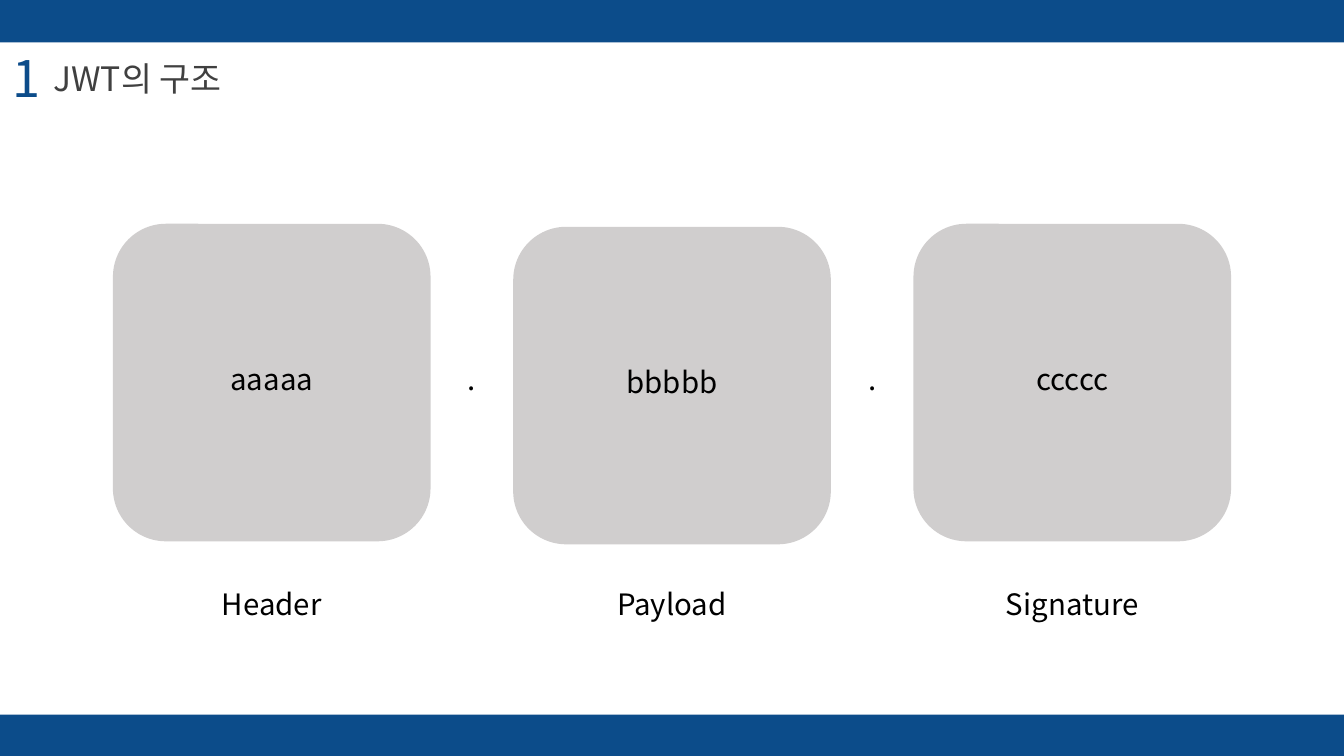
from pptx import Presentation
from pptx.dml.color import RGBColor
from pptx.enum import shapes, text
from pptx.oxml import ns
from pptx.util import Inches, Pt
from lxml import etree

COLORS = {"blue": "0C4C8A", "title": "404040", "card": "D0CECE", "black": "000000"}
FONT = "Noto Sans CJK KR"
CARD_SIZE = 3.15
CARD_LEFT, CARD_STEP = 1.12, 3.97
LABEL_HEIGHT = 0.45


def add_block(s, preset, left, top, width, height, color):
    """Filled shape without outline or shadow."""
    sp = s.shapes.add_shape(preset, Inches(left), Inches(top), Inches(width), Inches(height))
    sp.shadow.inherit = False
    sp.fill.solid()
    sp.fill.fore_color.rgb = RGBColor.from_string(COLORS[color])
    sp.line.fill.background()


def write(sp, words, size, color, align, wrap=False):
    """One paragraph, with the same font for Latin and Korean."""
    tf = sp.text_frame
    tf.word_wrap = wrap
    tf.auto_size = text.MSO_AUTO_SIZE.NONE
    tf.vertical_anchor = text.MSO_ANCHOR.TOP
    p = tf.paragraphs[0]
    p.text = words
    p.alignment = align
    p.font.size = Pt(size)
    p.font.name = FONT
    p.font.color.rgb = RGBColor.from_string(COLORS[color])
    props = p._p.pPr.find(ns.qn("a:defRPr"))
    etree.SubElement(props, ns.qn("a:ea")).set("typeface", FONT)


def add_label(s, words, center, top, width):
    """Centred text around a given x."""
    sp = s.shapes.add_textbox(Inches(center - width / 2), Inches(top),
                              Inches(width), Inches(LABEL_HEIGHT))
    write(sp, words, 21, "black", text.PP_ALIGN.CENTER)


def add_heading(s, number, words):
    sp = s.shapes.add_textbox(Inches(0.03), Inches(0.42), Inches(0.49), Inches(0.71))
    write(sp, number, 36, "blue", text.PP_ALIGN.LEFT)
    title = s.shapes.title
    title.left, title.top = Inches(0.43), Inches(0.52)
    title.width, title.height = Inches(1.9), Inches(0.5)
    write(title, words, 24, "title", text.PP_ALIGN.LEFT, wrap=True)


def main():
    prs = Presentation()
    prs.slide_width, prs.slide_height = Inches(13.33), Inches(7.5)
    s = prs.slides.add_slide(prs.slide_layouts[5])

    # Bands and heading
    rect = shapes.MSO_SHAPE.RECTANGLE
    add_block(s, rect, 0, 7.09, 13.33, 0.41, "blue")
    add_block(s, rect, 0, 0, 13.33, 0.42, "blue")
    add_heading(s, "1", "JWT의 구조")

    # Token parts: value, name, card top, label widths
    parts = [("aaaaa", "Header", 2.22, 1.04, 1.31),
             ("bbbbb", "Payload", 2.25, 1.1, 1.33),
             ("ccccc", "Signature", 2.22, 0.98, 1.6)]
    for i, (value, name, top, value_width, name_width) in enumerate(parts):
        left = CARD_LEFT + i * CARD_STEP
        center = left + CARD_SIZE / 2
        add_block(s, shapes.MSO_SHAPE.ROUNDED_RECTANGLE, left, top,
                  CARD_SIZE, CARD_SIZE, "card")
        add_label(s, value, center, top + 1.31, value_width)
        add_label(s, name, center, 5.77, name_width)

    # Separating dots
    for i in range(2):
        add_label(s, ".", 4.68 + i * CARD_STEP, 3.53, 0.3)

    prs.save("out.pptx")


if __name__ == "__main__":
    main()
